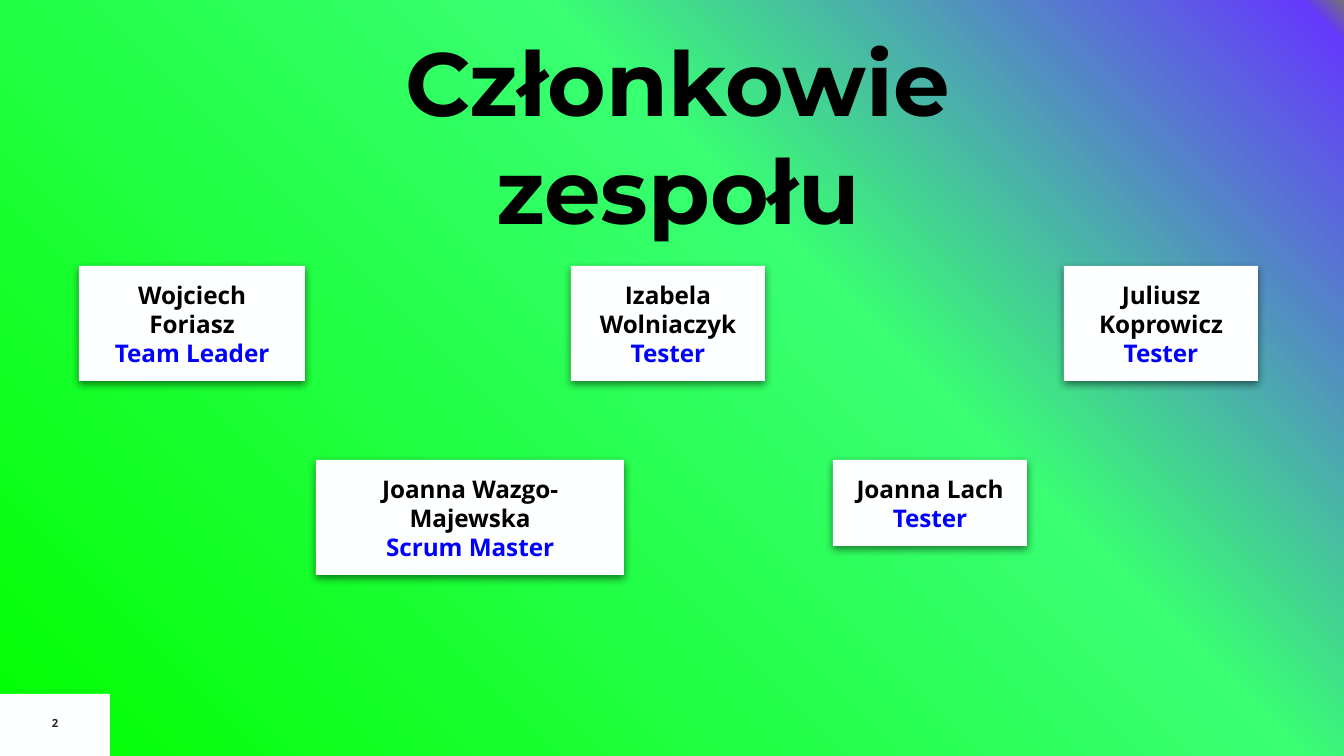
import pptx
import pptx.dml.color
import pptx.enum.shapes
import pptx.enum.text
import pptx.oxml
import pptx.oxml.ns
import pptx.util

PX = 9144000 / 1344
BLACK = pptx.dml.color.RGBColor(0x00, 0x00, 0x00)
BLUE = pptx.dml.color.RGBColor(0x00, 0x00, 0xFF)
CHARCOAL = pptx.dml.color.RGBColor(0x22, 0x22, 0x22)
WHITE = pptx.dml.color.RGBColor(0xFE, 0xFF, 0xFF)

# Position %, colour, opacity %
BACKGROUND_STOPS = [
    (0, "00FF00", 100),
    (62, "39FF73", 23),
    (98, "643AFC", 29),
    (100, "737373", 100),
]
TOP_ROW, BOTTOM_ROW = 266, 460
TWO_LINES, THREE_LINES = 86, 115
# Name, role, left, top, width, height
MEMBERS = [
    ("Wojciech Foriasz", "Team Leader", 79, TOP_ROW, 226, THREE_LINES),
    ("Joanna Wazgo-Majewska", "Scrum Master", 316, BOTTOM_ROW, 308, THREE_LINES),
    ("Izabela Wolniaczyk", "Tester", 571, TOP_ROW, 194, THREE_LINES),
    ("Juliusz Koprowicz", "Tester", 1064, TOP_ROW, 194, THREE_LINES),
    ("Joanna Lach", "Tester", 833, BOTTOM_ROW, 194, TWO_LINES),
]


def px(length):
    return pptx.util.Emu(round(length * PX))


def drawing_xml(body):
    """Parse a DrawingML element whose tag needs the a: namespace."""
    tag, rest = body.split(">", 1)
    return pptx.oxml.parse_xml(f"{tag} {pptx.oxml.ns.nsdecls('a')}>{rest}")


def set_background(page):
    """Radial gradient that spreads from the bottom left corner."""
    page.background.fill.gradient()
    old_fill = page.element.xpath(".//p:bgPr/a:gradFill")[0]
    stops = "".join(
        f'<a:gs pos="{position * 1000}"><a:srgbClr val="{colour}">'
        f'<a:alpha val="{opacity * 1000}"/></a:srgbClr></a:gs>'
        for position, colour, opacity in BACKGROUND_STOPS
    )
    new_fill = drawing_xml(
        f'<a:gradFill><a:gsLst>{stops}</a:gsLst><a:path path="circle">'
        '<a:fillToRect t="100000" r="100000"/></a:path></a:gradFill>'
    )
    old_fill.getparent().replace(old_fill, new_fill)


def add_white_box(page, left, top, width, height):
    box = page.shapes.add_shape(
        pptx.enum.shapes.MSO_SHAPE.RECTANGLE, px(left), px(top), px(width), px(height)
    )
    box.fill.solid()
    box.fill.fore_color.rgb = WHITE
    box.line.fill.background()
    box.shadow.inherit = False
    return box


def add_soft_shadow(box):
    effects = box.element.spPr.find(pptx.oxml.ns.qn("a:effectLst"))
    effects.append(drawing_xml(
        '<a:outerShdw blurRad="57150" dist="19050" dir="5400000" algn="bl" rotWithShape="0">'
        '<a:srgbClr val="000000"><a:alpha val="50000"/></a:srgbClr></a:outerShdw>'
    ))


def write_lines(box, lines, font, size, inset_x=14, inset_y=14):
    """Fill a box with centred bold paragraphs, given as (text, colour) pairs."""
    frame = box.text_frame
    frame.word_wrap = True
    frame.vertical_anchor = pptx.enum.text.MSO_ANCHOR.TOP
    frame.margin_left = frame.margin_right = px(inset_x)
    frame.margin_top = frame.margin_bottom = px(inset_y)
    for index, (text, colour) in enumerate(lines):
        para = frame.add_paragraph() if index else frame.paragraphs[0]
        para.text = text
        para.alignment = pptx.enum.text.PP_ALIGN.CENTER
        para.font.name = font
        para.font.size = pptx.util.Pt(size)
        para.font.bold = True
        para.font.color.rgb = colour
    return frame


def add_member(page, name, role, *place):
    card = add_white_box(page, *place)
    add_soft_shadow(card)
    frame = write_lines(card, [(name, BLACK), (role, BLUE)], "Open Sans", 13)
    frame.auto_size = pptx.enum.text.MSO_AUTO_SIZE.SHAPE_TO_FIT_TEXT


def add_title(page, text):
    box = page.shapes.add_textbox(px(320), px(13), px(716), px(245))
    frame = write_lines(box, [(text, BLACK)], "Montserrat", 48)
    frame.auto_size = pptx.enum.text.MSO_AUTO_SIZE.SHAPE_TO_FIT_TEXT


def add_page_number(page, number):
    add_white_box(page, 0, 694, 110, 62)
    box = page.shapes.add_textbox(px(0), px(703), px(110), px(40))
    frame = write_lines(box, [(number, CHARCOAL)], "Open Sans", 6, 9, 5)
    frame.vertical_anchor = pptx.enum.text.MSO_ANCHOR.MIDDLE


def main():
    deck = pptx.Presentation()
    deck.slide_width, deck.slide_height = px(1344), px(756)
    page = deck.slides.add_slide(deck.slide_layouts[6])
    set_background(page)
    add_page_number(page, "2")
    for member in MEMBERS:
        add_member(page, *member)
    add_title(page, "Członkowie zespołu")
    deck.save("out.pptx")


if __name__ == "__main__":
    main()
